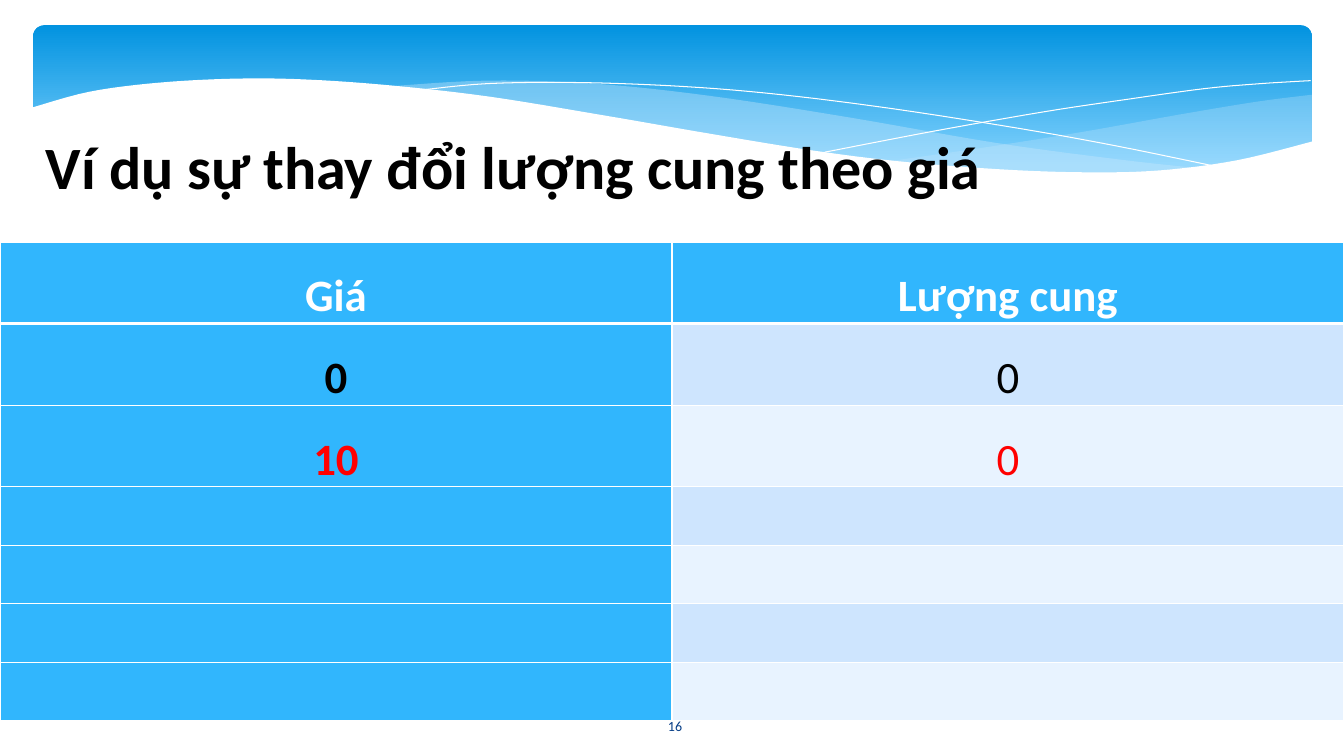
from lxml.etree import SubElement
from pptx import Presentation
from pptx.dml.color import RGBColor
from pptx.enum.shapes import MSO_SHAPE
from pptx.enum.text import MSO_ANCHOR, PP_ALIGN
from pptx.oxml.ns import qn
from pptx.util import Inches, Pt

WHITE = RGBColor(0xFF, 0xFF, 0xFF)
BLACK = RGBColor(0x00, 0x00, 0x00)
RED = RGBColor(0xFF, 0x00, 0x00)
NAVY = RGBColor(0x07, 0x3E, 0x87)
DEEP = RGBColor(0x02, 0x93, 0xE0)
SKY = RGBColor(0x83, 0xD3, 0xFE)
VEIL = RGBColor(0xC6, 0xE7, 0xFC)
BLUE = RGBColor(0x31, 0xB6, 0xFD)
MID = RGBColor(0xCE, 0xE5, 0xFE)
PALE = RGBColor(0xE8, 0xF3, 0xFF)

COLS, ROWS = 13.33, 7.5  # grid of one-inch columns and rows


def curve(knots, steps=6):
    """Smooth run of points through the knots (Catmull-Rom)."""
    ends = [knots[0], *knots, knots[-1]]
    points = []
    for a, b, c, d in zip(ends, ends[1:], ends[2:], ends[3:]):
        for step in range(steps):
            t = step / steps
            points.append(tuple(
                q + t * (r - p) / 2
                + t * t * (2 * p - 5 * q + 4 * r - s) / 2
                + t ** 3 * (3 * q - p - 3 * r + s) / 2
                for p, q, r, s in zip(a, b, c, d)))
    return points + [knots[-1]]


class Deck:
    font = "Calibri"

    def __init__(self):
        self.file = Presentation()
        self.file.slide_width = Inches(COLS)
        self.file.slide_height = Inches(ROWS)
        self.slide = self.file.slides.add_slide(self.file.slide_layouts[6])
        self.shapes = self.slide.shapes

    def banner(self, box, top, base):
        shape = self.shapes.add_shape(MSO_SHAPE.ROUNDED_RECTANGLE, *map(Inches, box))
        shape.adjustments[0] = 0.07
        shape.shadow.inherit = False
        shape.line.fill.background()
        shape.fill.gradient()
        shape.fill.gradient_angle = 270
        for stop, tint, place in zip(shape.fill.gradient_stops, (top, base), (0, 0.9)):
            stop.color.rgb = tint
            stop.position = place

    def wave(self, points, fill=None, alpha=100):
        """Filled outline, or an open white hairline when no fill is given."""
        spots = [(Inches(x), Inches(y)) for x, y in points]
        pen = self.shapes.build_freeform(*spots[0], scale=1.0)
        pen.add_line_segments(spots[1:], close=fill is not None)
        shape = pen.convert_to_shape()
        shape.shadow.inherit = False
        if fill is None:
            shape.fill.background()
            shape.line.color.rgb = WHITE
            shape.line.width = Pt(0)
            return
        shape.line.fill.background()
        shape.fill.solid()
        shape.fill.fore_color.rgb = fill
        if alpha < 100:
            tint = shape.fill._xPr.find(qn("a:solidFill"))[0]
            SubElement(tint, qn("a:alpha"), val=str(alpha * 1000))

    def run(self, para, text, size, tint, bold=False):
        para.alignment = PP_ALIGN.CENTER
        run = para.add_run()
        run.text = text
        run.font.name = self.font
        run.font.size = Pt(size)
        run.font.bold = bold
        run.font.color.rgb = tint

    def text(self, box, text, size, tint, bold=False, anchor=MSO_ANCHOR.TOP):
        frame = self.shapes.add_textbox(*map(Inches, box)).text_frame
        frame.word_wrap = True
        frame.vertical_anchor = anchor
        self.run(frame.paragraphs[0], text, size, tint, bold)

    def cell(self, cell, fill, top, base):
        props = cell._tc.get_or_add_tcPr()
        for side, width in zip("LRTB", (1, 1, top, base)):
            edge = SubElement(props, qn(f"a:ln{side}"), w=str(Pt(width)))
            paint = SubElement(edge, qn("a:solidFill"))
            SubElement(paint, qn("a:srgbClr"), val=str(WHITE))
        cell.fill.solid()
        cell.fill.fore_color.rgb = fill

    def table(self, box, data, tints, highs):
        grid = self.shapes.add_table(len(data), len(data[0]), *map(Inches, box)).table
        grid.first_row = grid.horz_banding = False
        for i, (line, tint, high) in enumerate(zip(data, tints, highs)):
            grid.rows[i].height = Inches(high)
            for j, word in enumerate(line):
                cell = grid.cell(i, j)
                band = MID if i % 2 else PALE
                fill = BLUE if i == 0 or j == 0 else band
                self.cell(cell, fill, 3 if i == 1 else 1, 3 if i == 0 else 1)
                if not word:
                    continue
                cell.margin_left = cell.margin_right = Inches(0.07)
                cell.margin_top = cell.margin_bottom = 0
                para = cell.text_frame.paragraphs[0]
                para.line_spacing = 1.5
                para.space_after = Pt(8)
                self.run(para, word, 32, tint, bold=i == 0 or j == 0)


def main():
    deck = Deck()

    # Banner
    deck.banner((0.33, 0.25, 12.68, 1.56), DEEP, SKY)

    # Translucent waves
    deck.wave(
        curve([(8.82, 1.6), (9.72, 1.47), (10.73, 1.31), (11.68, 1.14),
               (12.46, 1.01), (13.01, 0.94)])
        + curve([(13.01, 1.42), (12.47, 1.56), (11.74, 1.67), (10.85, 1.72),
                 (9.93, 1.69), (8.82, 1.6)]), VEIL, 29)
    deck.wave(
        curve([(3.82, 0.86), (4.82, 0.8), (5.89, 0.83), (7.03, 0.95),
               (8.39, 1.16), (9.89, 1.42), (11.16, 1.59), (11.9, 1.67)])
        + curve([(11.9, 1.67), (11.04, 1.73), (10.14, 1.71), (9.07, 1.63),
                 (8.02, 1.5), (7.06, 1.35), (5.99, 1.16), (4.83, 0.97),
                 (3.82, 0.86)]), VEIL, 40)

    # Hairlines
    deck.wave(curve([(4.12, 0.9), (4.84, 0.83), (5.77, 0.82), (6.8, 0.86),
                     (7.75, 0.94), (8.86, 1.08), (10.14, 1.28), (11.08, 1.45),
                     (12.1, 1.66)]))
    deck.wave(curve([(8.18, 1.51), (9.27, 1.3), (10.35, 1.11), (11.15, 0.99),
                     (11.94, 0.88), (12.5, 0.83), (13, 0.8)]))

    # White wave below the banner
    deck.wave(
        curve([(13.03, 1.4), (12.27, 1.59), (11.51, 1.69), (10.78, 1.71),
               (9.92, 1.68), (8.91, 1.6), (8.04, 1.49), (7.06, 1.33),
               (5.96, 1.14), (4.86, 0.96), (3.9, 0.85), (3.06, 0.79),
               (2.35, 0.78), (1.58, 0.82), (0.89, 0.91), (0.31, 1.07)])
        + [(0.31, 2.24), (13.03, 2.24)], WHITE)

    # Page number and title
    deck.text((5.85, 7, 1.69, 0.4), "16", 10, NAVY, anchor=MSO_ANCHOR.MIDDLE)
    deck.text((-0.33, 1.24, 10.84, 1.37), "Ví dụ sự thay đổi lượng cung theo giá",
              42.9, BLACK, bold=True)

    # Supply table
    data = [("Giá", "Lượng cung"), ("0", "0"), ("10", "0")] + [("", "")] * 4
    tints = [WHITE, BLACK, RED] + [BLACK] * 4
    highs = [0.81] * 3 + [0.58] * 4
    deck.table((0, 2.4, COLS, sum(highs)), data, tints, highs)

    deck.file.save("out.pptx")


if __name__ == "__main__":
    main()
